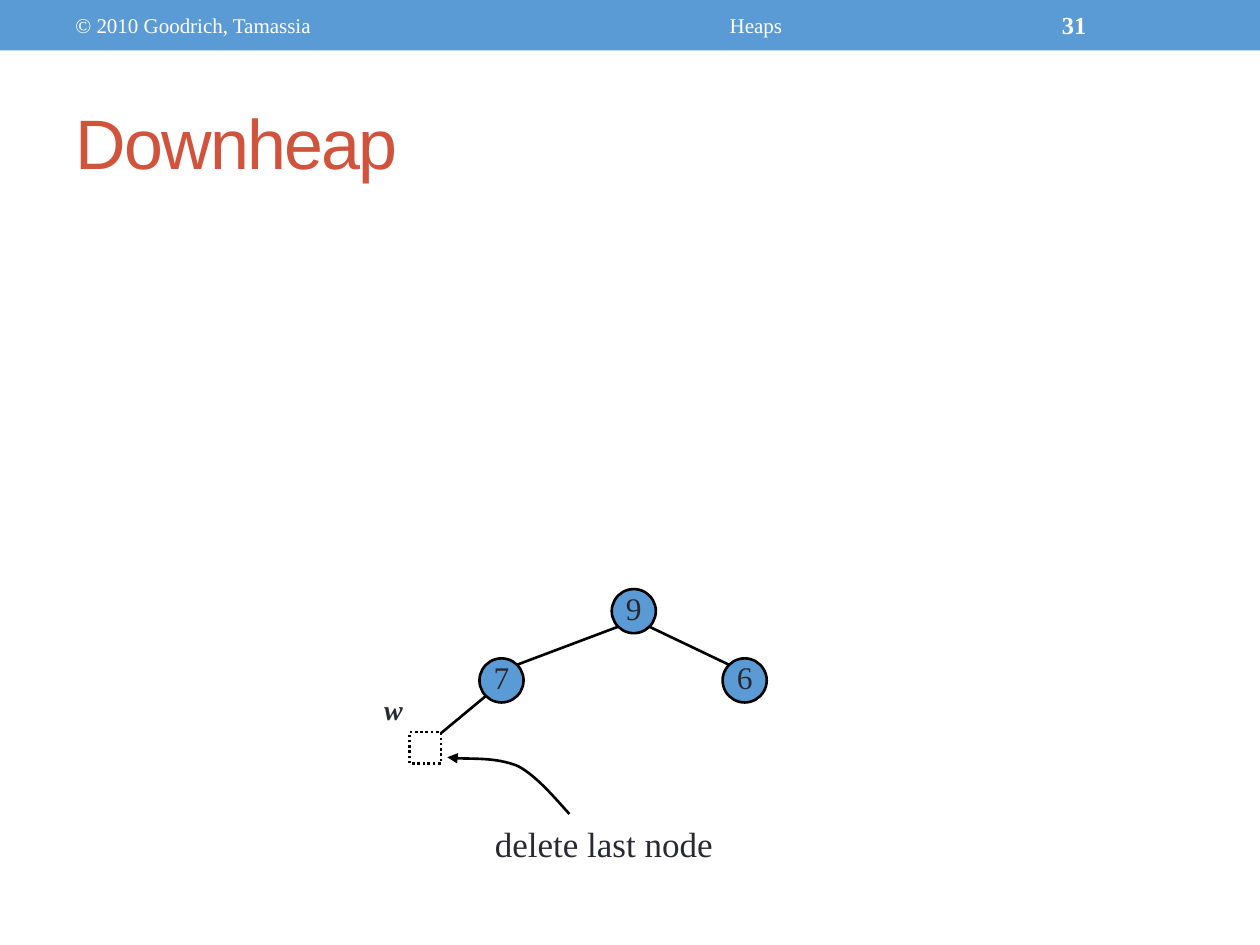
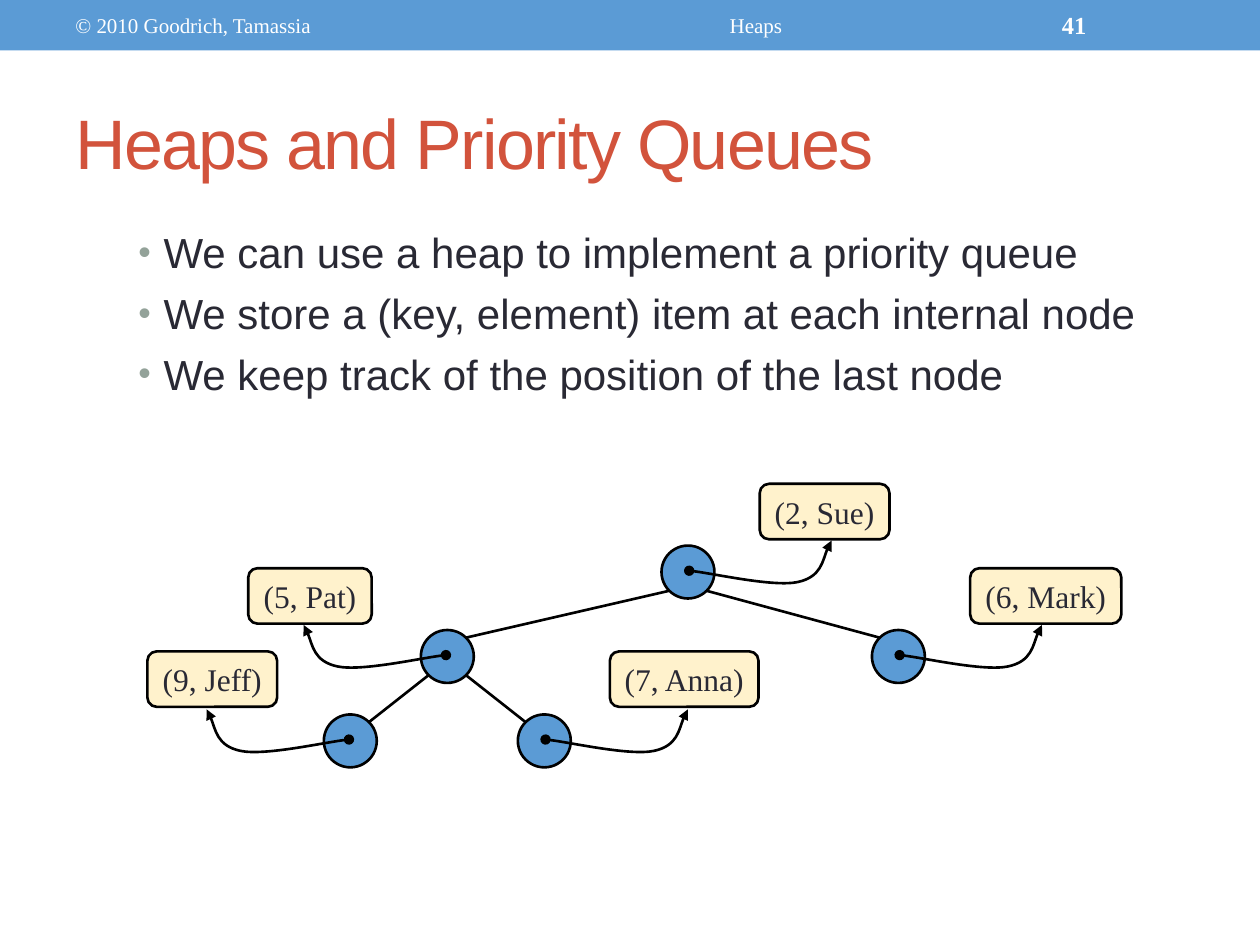
from pptx import Presentation
from pptx.dml.color import RGBColor
from pptx.enum.dml import MSO_LINE
from pptx.enum.shapes import MSO_CONNECTOR, MSO_SHAPE
from pptx.enum.text import MSO_ANCHOR, PP_ALIGN
from pptx.oxml.ns import qn
from pptx.util import Inches, Pt
from lxml import etree

RECT, OVAL, ROUNDED = MSO_SHAPE.RECTANGLE, MSO_SHAPE.OVAL, MSO_SHAPE.ROUNDED_RECTANGLE
LEFT, CENTER = PP_ALIGN.LEFT, PP_ALIGN.CENTER
TOP, MIDDLE = MSO_ANCHOR.TOP, MSO_ANCHOR.MIDDLE
STRAIGHT, DOTTED = MSO_CONNECTOR.STRAIGHT, MSO_LINE.ROUND_DOT
SANS, SERIF = "Arial", "Times New Roman"
BLUE, RED, INK, CREAM = "5B9BD5", "D2533C", "292934", "FFF2CC"
WHITE, BLACK, BULLET = "FFFFFF", "000000", "93A299"
rgb = RGBColor.from_string


def write(sp, text, size, color=INK, font=SERIF, bold=False, italic=False,
          align=LEFT, anchor=MIDDLE, wrap=True):
    tf = sp.text_frame
    tf.text = text
    tf.word_wrap = wrap
    tf.vertical_anchor = anchor
    for p in tf.paragraphs:
        p.alignment = align
        for r in p.runs:
            r.font.name, r.font.size = font, Pt(size)
            r.font.bold, r.font.italic = bold, italic
            r.font.color.rgb = rgb(color)
    return tf


def style(sp, fill=None):
    sp.shadow.inherit = False
    sp.line.color.rgb = rgb(BLACK)
    sp.line.width = Pt(1.5)
    if fill:
        sp.fill.solid()
        sp.fill.fore_color.rgb = rgb(fill)
    else:
        sp.fill.background()


# Node centres, and edges as parent-child pairs
trees = [
    {"number": "31", "title": "Downheap", "size": 0.35,
     "nodes": {"9": (5.03, 4.85), "7": (3.98, 5.4), "6": (5.91, 5.4)},
     "edges": [("9", "7"), ("9", "6"), ("7", "w")]},
    {"number": "41", "title": "Heaps and Priority Queues", "size": 0.42,
     "nodes": {"2": (5.46, 4.54), "5": (3.55, 5.21), "6": (7.13, 5.21),
               "9": (2.78, 5.88), "7": (4.32, 5.88)},
     "edges": [("2", "5"), ("2", "6"), ("5", "9"), ("5", "7")]},
]
last_node = (3.38, 5.94)

# Item boxes: node, label, left, top, width, side of the node
items = [
    ("2", "(2, Sue)", 6.03, 3.84, 1.03, 1),
    ("6", "(6, Mark)", 7.7, 4.51, 1.2, 1),
    ("5", "(5, Pat)", 1.97, 4.51, 0.98, -1),
    ("9", "(9, Jeff)", 1.17, 5.17, 1.03, -1),
    ("7", "(7, Anna)", 4.84, 5.17, 1.18, 1),
]

bullets = [
    "We can use a heap to implement a priority queue",
    "We store a (key, element) item at each internal node",
    "We keep track of the position of the last node",
]

prs = Presentation()
prs.slide_width, prs.slide_height = Inches(10), Inches(7.5)
slides = []

for tree in trees:
    s = prs.slides.add_slide(prs.slide_layouts[6])
    slides.append(s)

    # Band with copyright, topic and slide number
    sp = s.shapes.add_shape(RECT, 0, 0, Inches(10), Inches(0.4))
    style(sp, BLUE)
    sp.line.fill.background()
    for text, x, w, size, bold, align in [
        ("© 2010 Goodrich, Tamassia", 0.5, 3.17, 12, False, LEFT),
        ("Heaps", 3.75, 4.5, 12, False, CENTER),
        (tree["number"], 8.33, 1.17, 14, True, LEFT),
    ]:
        sp = s.shapes.add_textbox(Inches(x), Inches(0.02), Inches(w), Inches(0.36))
        write(sp, text, size, WHITE, bold=bold, align=align)

    # Title
    sp = s.shapes.add_textbox(Inches(0.5), Inches(0.58), Inches(9), Inches(1.08))
    tf = write(sp, tree["title"], 40, RED, SANS)
    tf.paragraphs[0].runs[0].font._element.set("spc", "-100")

    # Edges meet each node at 45 degrees
    corner = tree["size"] / 2 * 0.71
    centres = {**tree["nodes"], "w": last_node}
    for parent, child in tree["edges"]:
        (x1, y1), (x2, y2) = centres[parent], centres[child]
        side = 1 if x2 > x1 else -1
        c = s.shapes.add_connector(
            STRAIGHT, Inches(x1 + side * corner), Inches(y1 + corner),
            Inches(x2 - side * corner), Inches(y2 - corner))
        c.line.color.rgb = rgb(BLACK)
        c.line.width = Pt(1.5)
        etree.SubElement(c.element.spPr, qn("a:effectLst"))

    # Nodes; keys show only on the first tree
    d = tree["size"]
    for key, (x, y) in tree["nodes"].items():
        sp = s.shapes.add_shape(OVAL, Inches(x - d / 2), Inches(y - d / 2), Inches(d), Inches(d))
        style(sp, BLUE)
        if tree is trees[0]:
            tf = write(sp, key, 18, align=CENTER, wrap=False)
            tf.margin_left = tf.margin_right = tf.margin_top = 0

downheap, queues = slides

# Deleted last node
sp = downheap.shapes.add_shape(RECT, Inches(3.25), Inches(5.81), Inches(0.25), Inches(0.25))
style(sp, WHITE)
sp.line.dash_style = DOTTED
sp = downheap.shapes.add_textbox(Inches(2.95), Inches(5.45), Inches(0.35), Inches(0.36))
write(sp, "w", 16, bold=True, italic=True, anchor=TOP, wrap=False)
sp = downheap.shapes.add_textbox(Inches(3.83), Inches(6.48), Inches(1.93), Inches(0.43))
write(sp, "delete last node", 20, anchor=TOP, wrap=False)

# Bulleted text
sp = queues.shapes.add_textbox(Inches(1), Inches(1.75), Inches(8.42), Inches(1.83))
tf = write(sp, "\n".join(bullets), 24, font=SANS, anchor=TOP)
for i, p in enumerate(tf.paragraphs):
    pPr = p._p.get_or_add_pPr()
    pPr.set("marL", str(Inches(0.2)))
    pPr.set("indent", str(-Inches(0.2)))
    color = etree.SubElement(pPr, qn("a:buClr"))
    etree.SubElement(color, qn("a:srgbClr"), val=BULLET)
    etree.SubElement(pPr, qn("a:buSzPct"), val="85000")
    etree.SubElement(pPr, qn("a:buFont"), typeface=SANS)
    etree.SubElement(pPr, qn("a:buChar"), char="•")
    if i:
        p.space_before = Pt(6)

# Item boxes, and the curve that points at each from its node
curves = [(downheap, None, [(4.52, 6.46), (4.46, 6.4), (4.27, 6.16), (4.11, 6.08),
                            (3.94, 6.01), (3.66, 6.03), (3.55, 6.01)])]
sweep = [(0, 0), (0.14, 0.01), (0.67, 0.13), (0.86, 0.09),
         (1.05, 0.05), (1.08, -0.17), (1.13, -0.24)]
for key, label, x, y, w, side in items:
    sp = queues.shapes.add_shape(ROUNDED, Inches(x), Inches(y), Inches(w), Inches(0.44))
    style(sp, CREAM)
    write(sp, label, 18, align=CENTER, wrap=False)
    cx, cy = trees[1]["nodes"][key]
    curves.append((queues, "oval",
                   [(cx + side * (0.01 + dx), cy - 0.01 + dy) for dx, dy in sweep]))

# Curved arrows: every three points after the start make one Bezier segment
for s, head, points in curves:
    points = [(Inches(x), Inches(y)) for x, y in points]
    fb = s.shapes.build_freeform(*points[0])
    fb.add_line_segments(points[1:], close=False)
    sp = fb.convert_to_shape()
    style(sp)
    lines = list(sp.element.iter(qn("a:lnTo")))
    for i in range(0, len(lines), 3):
        bezier = etree.Element(qn("a:cubicBezTo"))
        lines[i].addprevious(bezier)
        for line in lines[i:i + 3]:
            bezier.append(line[0])
            line.getparent().remove(line)
    ln = sp.element.spPr.find(qn("a:ln"))
    if head:
        etree.SubElement(ln, qn("a:headEnd"), type=head)
    etree.SubElement(ln, qn("a:tailEnd"), type="triangle")

prs.save("out.pptx")
